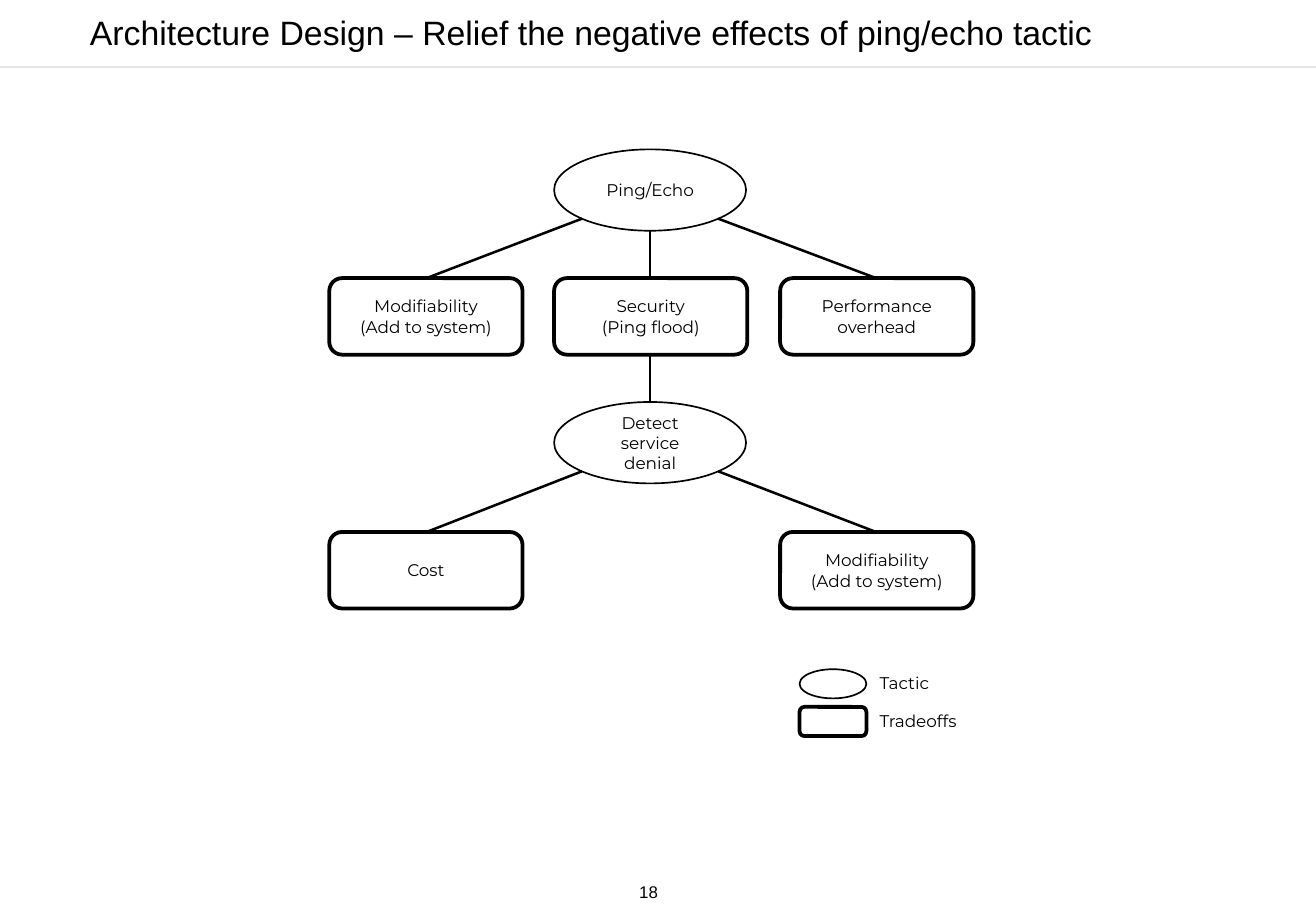
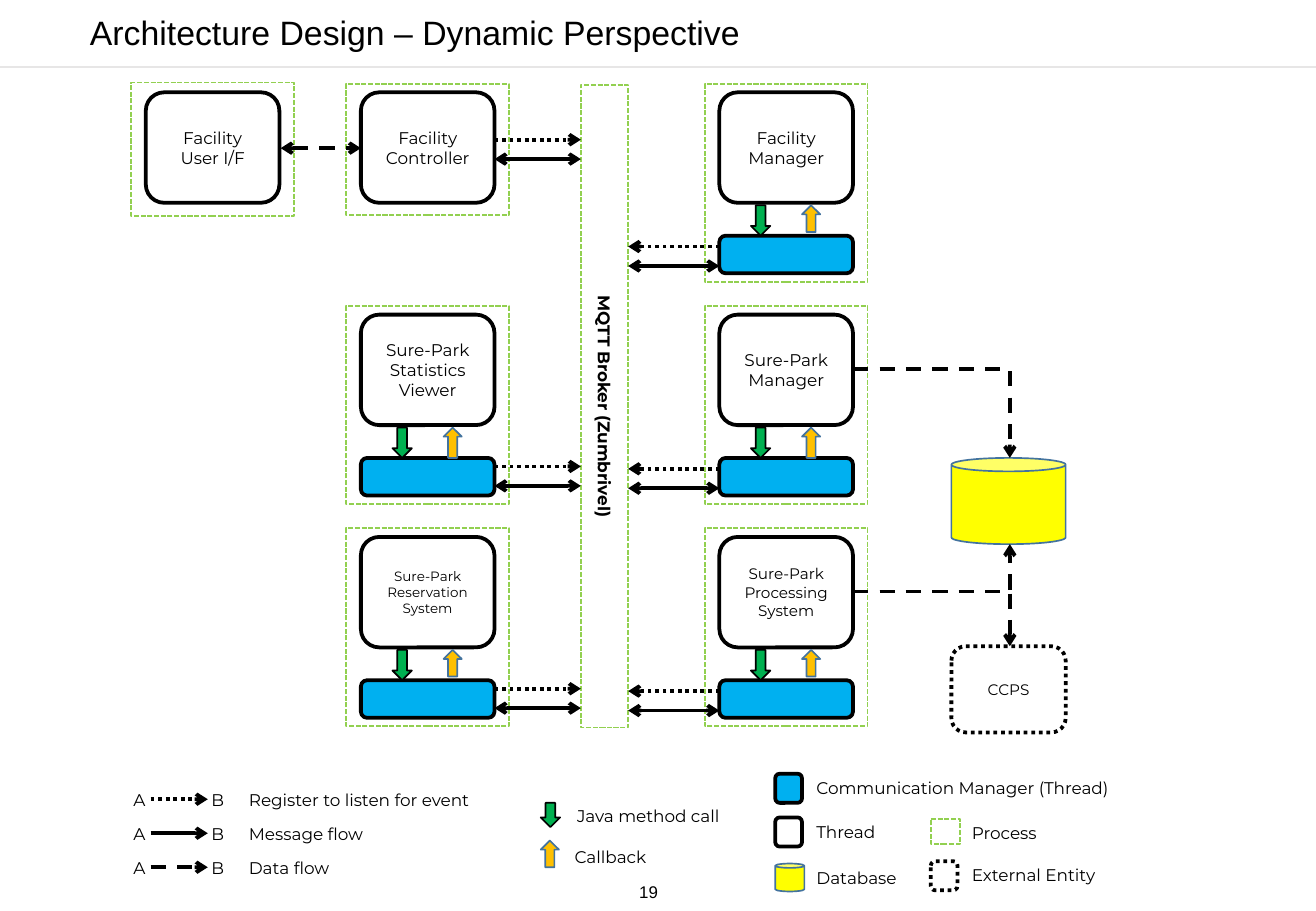
from collections import namedtuple
from dataclasses import dataclass

from pptx import Presentation
from pptx import util as u
from pptx.dml.color import RGBColor
from pptx.enum import dml, shapes, text
from pptx.oxml import ns, xmlchemy

SHAPE, LINK, DASH = shapes.MSO_SHAPE, shapes.MSO_CONNECTOR, dml.MSO_LINE
CENTER, LEFT = text.PP_ALIGN.CENTER, text.PP_ALIGN.LEFT
MIDDLE, TOP = text.MSO_ANCHOR.MIDDLE, text.MSO_ANCHOR.TOP
Look = namedtuple("Look", "color width dash fill", defaults=(None, None))


@dataclass(frozen=True)
class Theme:
    title_font: str = "Arial"
    body_font: str = "Montserrat"
    title_size: int = 20
    body_size: int = 10
    ink: str = "000000"
    # Outlines and fills
    rule: Look = Look("E7E6E6", 1)
    tactic: Look = Look("000000", 1)
    thread: Look = Look("000000", 2.25)
    manager: Look = Look("000000", 2.25, None, "00B0F0")
    process: Look = Look("92D050", 1, DASH.SQUARE_DOT)
    external: Look = Look("000000", 2.25, DASH.ROUND_DOT)
    call: Look = Look("000000", 1, None, "00B050")
    callback: Look = Look("43739E", 1, None, "FFC000")
    database: Look = Look("43739E", 1, None, "FFFF00")
    # Lines
    branch: Look = Look("000000", 1.5)
    message: Look = Look("000000", 2.25)
    event: Look = Look("000000", 2.25, DASH.ROUND_DOT)
    data: Look = Look("000000", 2.25, DASH.DASH)


THEME = Theme()


def write(box, words, size=THEME.body_size, font=THEME.body_font, bold=False,
          align=CENTER, anchor=MIDDLE, wrap=True, margin=None):
    """Fill a shape with one paragraph per line of words."""
    frame = box.text_frame
    frame.word_wrap = wrap
    frame.auto_size = text.MSO_AUTO_SIZE.NONE
    frame.vertical_anchor = anchor
    if margin is not None:
        frame.margin_left = u.Inches(margin)
    for number, line in enumerate(words.split("\n")):
        para = frame.add_paragraph() if number else frame.paragraphs[0]
        para.alignment = align
        span = para.add_run()
        span.text = line
        span.font.size = u.Pt(size)
        span.font.name = font
        span.font.bold = bold
        span.font.color.rgb = RGBColor.from_string(THEME.ink)


def draw(page, kind, place, look=None, ends=()):
    """Add a text box (kind None), a connector or a preset shape."""
    place = [u.Inches(value) for value in place]
    if kind is None:
        return page.shapes.add_textbox(*place)
    if isinstance(kind, LINK):
        item = page.shapes.add_connector(kind, *place)
    else:
        item = page.shapes.add_shape(kind, *place)
        item.shadow.inherit = False
        if look.fill:
            item.fill.solid()
            item.fill.fore_color.rgb = RGBColor.from_string(look.fill)
        else:
            item.fill.background()
    item.line.color.rgb = RGBColor.from_string(look.color)
    item.line.width = u.Pt(look.width)
    if look.dash:
        item.line.dash_style = look.dash
    if isinstance(kind, LINK):
        outline = item.element.find(".//" + ns.qn("a:ln"))
        for end in ends:
            outline.append(xmlchemy.OxmlElement(f"a:{end}End"))
            outline[-1].set("type", "arrow")
        outline.addnext(xmlchemy.OxmlElement("a:effectLst"))
        if kind == LINK.ELBOW:
            item.element.find(".//" + ns.qn("a:prstGeom")).set("prst", "bentConnector2")
    return item


deck = Presentation()
deck.slide_width, deck.slide_height = u.Inches(10.83), u.Inches(7.5)

# Title, rule and page number on every slide
pages = []
for number, heading in (
    (18, "Architecture Design – Relief the negative effects of ping/echo tactic"),
    (19, "Architecture Design – Dynamic Perspective"),
):
    page = deck.slides.add_slide(deck.slide_layouts[5])
    title = page.shapes.title
    title.left, title.top = u.Inches(0.14), u.Inches(0.05)
    title.width, title.height = u.Inches(10.47), u.Inches(0.5)
    write(title, heading, size=THEME.title_size, font=THEME.title_font,
          align=LEFT, anchor=TOP, margin=0.6)
    draw(page, LINK.STRAIGHT, (0, 0.55, 10.83, 0.55), THEME.rule)
    write(draw(page, None, (5.22, 7.22, 0.25, 0.25)), str(number),
          font=THEME.title_font, align=LEFT, wrap=False, margin=0.04)
    pages.append(page)
tactics, dynamic = pages

# Slide 18: branches of the tactic tree
for line in (
    (4.79, 1.8, 3.51, 2.29), (5.35, 1.9, 5.35, 2.29), (5.91, 1.8, 7.21, 2.29),
    (5.35, 2.92, 5.35, 3.31), (4.79, 3.88, 3.51, 4.38), (5.91, 3.88, 7.21, 4.38),
):
    draw(tactics, LINK.STRAIGHT, line, THEME.branch)

# Tactics and their tradeoffs
for top, words in ((1.23, "Ping/Echo"), (3.31, "Detect service denial")):
    write(draw(tactics, SHAPE.OVAL, (4.56, top, 1.58, 0.67), THEME.tactic), words)
for left, top, words in (
    (2.71, 2.29, "Modifiability\n(Add to system)"),
    (4.56, 2.29, "Security\n(Ping flood)"),
    (6.42, 2.29, "Performance overhead"),
    (2.71, 4.38, "Cost"),
    (6.42, 4.38, "Modifiability\n(Add to system)"),
):
    tradeoff = draw(tactics, SHAPE.ROUNDED_RECTANGLE, (left, top, 1.59, 0.63), THEME.thread)
    write(tradeoff, words)

# Legend of the tree
for kind, look, top, width, words in (
    (SHAPE.OVAL, THEME.tactic, 5.51, 0.69, "Tactic"),
    (SHAPE.ROUNDED_RECTANGLE, THEME.thread, 5.82, 0.93, "Tradeoffs"),
):
    draw(tactics, kind, (6.58, top, 0.55, 0.24), look)
    write(draw(tactics, None, (7.14, top - 0.02, width, 0.27)), words,
          align=LEFT, wrap=False)

# Slide 19: message broker
broker = draw(dynamic, SHAPE.RECTANGLE, (4.78, 0.7, 0.39, 5.29), THEME.process)
write(broker, "MQTT Broker (Zumbrivel)", bold=True)
broker.element.find(".//" + ns.qn("a:bodyPr")).set("vert", "vert")

# Processes: a thread, its manager and the links to the broker
left_column, right_column = 2.97, 5.92
first_row, row_step = 0.76, 1.83
for column, row, size, managed, words in (
    (left_column, 0, 10, False, "Facility Controller"),
    (left_column, 1, 10, True, "Sure-Park\nStatistics\nViewer"),
    (left_column, 2, 8, True, "Sure-Park Reservation\nSystem"),
    (right_column, 0, 10, True, "Facility\nManager"),
    (right_column, 1, 10, True, "Sure-Park\nManager"),
    (right_column, 2, 9, True, "Sure-Park\nProcessing\nSystem"),
):
    top = first_row + row * row_step
    thread = draw(dynamic, SHAPE.ROUNDED_RECTANGLE, (column, top, 1.1, 0.91), THEME.thread)
    write(thread, words, size=size)
    if managed:
        draw(dynamic, SHAPE.ROUNDED_RECTANGLE, (column, top + 1.18, 1.1, 0.31), THEME.manager)
        draw(dynamic, SHAPE.DOWN_ARROW, (column + 0.26, top + 0.93, 0.16, 0.25), THEME.call)
        rise = 0.25 if row == 1 else 0.22
        draw(dynamic, SHAPE.UP_ARROW, (column + 0.68, top + 0.93, 0.15, rise), THEME.callback)
    height = 1.63 if managed else 1.08
    draw(dynamic, SHAPE.RECTANGLE, (column - 0.12, top - 0.07, 1.34, height), THEME.process)
    if column == left_column:
        start, end, drop = column + 1.1, 4.78, 1.25 if managed else 0.39
    else:
        start, end, drop = column, 5.17, 1.27
    for look, y, ends in ((THEME.event, top + drop, ["tail"]),
                          (THEME.message, top + drop + 0.16, ["head", "tail"])):
        draw(dynamic, LINK.STRAIGHT, (start, y, end, y), look, ends)

# User interface
interface = draw(dynamic, SHAPE.ROUNDED_RECTANGLE, (1.2, 0.76, 1.1, 0.91), THEME.thread)
write(interface, "Facility\nUser I/F")
draw(dynamic, SHAPE.RECTANGLE, (1.08, 0.68, 1.34, 1.1), THEME.process)
draw(dynamic, LINK.STRAIGHT, (2.31, 1.22, 2.97, 1.22), THEME.data, ["head", "tail"])

# Database, external entity and the data flows to them
database = draw(dynamic, SHAPE.CAN, (7.83, 3.77, 0.94, 0.71), THEME.database)
database.adjustments[0] = 0.156
entity = draw(dynamic, SHAPE.ROUNDED_RECTANGLE, (7.83, 5.32, 0.94, 0.71), THEME.external)
write(entity, "CCPS", size=9)
for start, end in ((3.04, 3.77), (4.87, 4.48), (4.87, 5.32)):
    draw(dynamic, LINK.ELBOW, (7.02, start, 8.31, end), THEME.data, ["tail"])

# Legend: line kinds
for row, (look, width, words) in enumerate((
    (THEME.event, 2.26, "Register to listen for event"),
    (THEME.message, 1.25, "Message flow"),
    (THEME.data, 0.93, "Data flow"),
)):
    y = 6.58 + row * 0.28
    draw(dynamic, LINK.STRAIGHT, (1.24, y, 1.71, y), look, ["tail"])
    for left, wide, label in ((1, 0.31, "A"), (1.64, 0.31, "B"), (1.95, width, words)):
        write(draw(dynamic, None, (left, y - 0.13, wide, 0.27)), label,
              align=LEFT, wrap=False)

# Legend: symbols, each with its label's left, top and width
for kind, look, place, label, words in (
    (SHAPE.DOWN_ARROW, THEME.call, (4.45, 6.61, 0.16, 0.2),
     (4.65, 6.58, 1.52), "Java method call"),
    (SHAPE.UP_ARROW, THEME.callback, (4.45, 6.92, 0.15, 0.22),
     (4.63, 6.92, 0.87), "Callback"),
    (SHAPE.ROUNDED_RECTANGLE, THEME.manager, (6.38, 6.37, 0.22, 0.24),
     (6.62, 6.35, 2.8), "Communication Manager (Thread)"),
    (SHAPE.ROUNDED_RECTANGLE, THEME.thread, (6.38, 6.73, 0.22, 0.24),
     (6.62, 6.71, 0.74), "Thread"),
    (SHAPE.CAN, THEME.database, (6.38, 7.11, 0.24, 0.23),
     (6.62, 7.09, 0.92), "Database"),
    (SHAPE.RECTANGLE, THEME.process, (7.66, 6.74, 0.24, 0.21),
     (7.9, 6.72, 0.82), "Process"),
    (SHAPE.ROUNDED_RECTANGLE, THEME.external, (7.66, 7.09, 0.22, 0.24),
     (7.9, 7.07, 1.35), "External Entity"),
):
    symbol = draw(dynamic, kind, place, look)
    if kind == SHAPE.CAN:
        symbol.adjustments[0] = 0.156
    write(draw(dynamic, None, (*label, 0.27)), words, align=LEFT, wrap=False)

deck.save("out.pptx")
